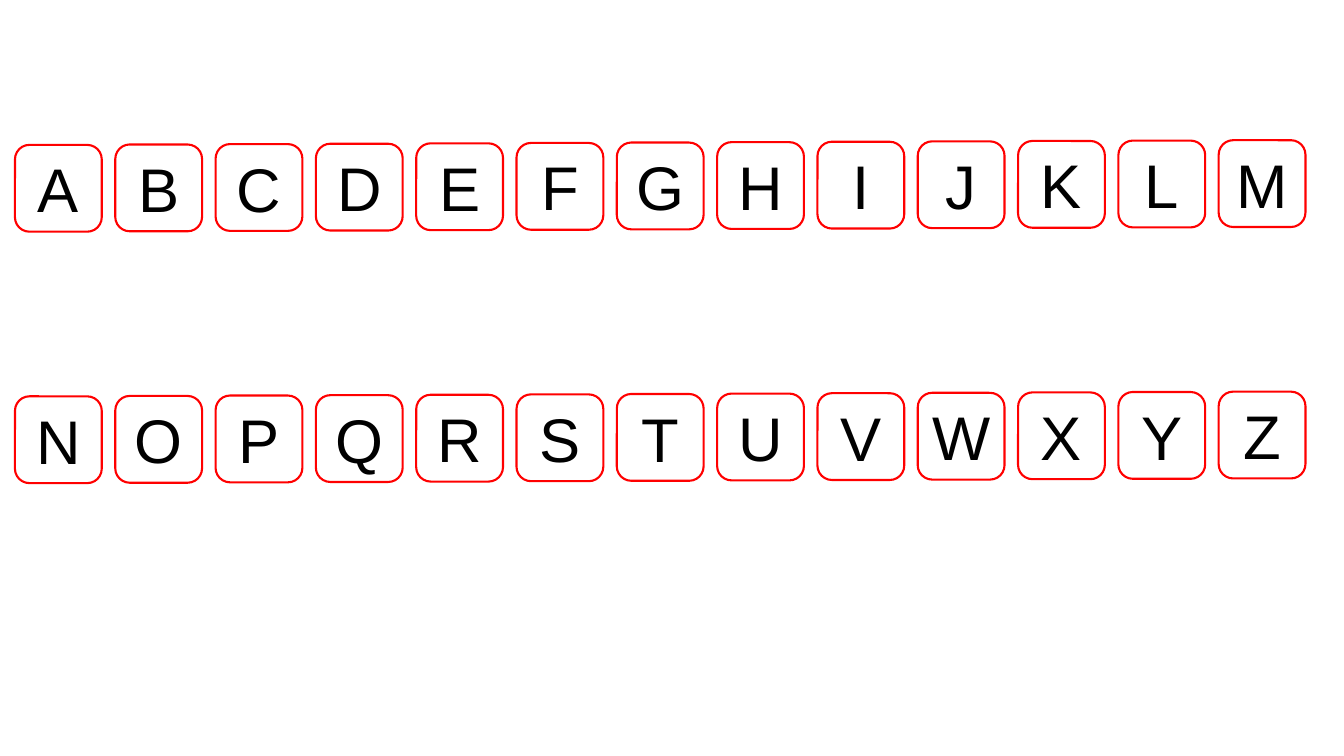
from pptx import Presentation
from pptx.dml.color import RGBColor
from pptx.enum.shapes import MSO_SHAPE
from pptx.enum.text import MSO_ANCHOR, PP_ALIGN
from pptx.util import Pt

WHITE = RGBColor(0xFF, 0xFF, 0xFF)
RED = RGBColor(0xFF, 0x00, 0x00)
BLACK = RGBColor(0x00, 0x00, 0x00)

TILE_SIZE = 62
FIRST_LEFT = 10.7
COLUMN_PITCH = 71.65
COLUMN_RISE = 0.28
LETTER_ROWS = [("ABCDEFGHIJKLM", 103.5), ("NOPQRSTUVWXYZ", 283.1)]

deck = Presentation()
deck.slide_width = Pt(960)
deck.slide_height = Pt(540)
page = deck.slides.add_slide(deck.slide_layouts[6])

for letters, first_top in LETTER_ROWS:
    for column, letter in enumerate(letters):
        left = FIRST_LEFT + column * COLUMN_PITCH
        top = first_top - column * COLUMN_RISE
        tile = page.shapes.add_shape(
            MSO_SHAPE.ROUNDED_RECTANGLE,
            Pt(left), Pt(top), Pt(TILE_SIZE), Pt(TILE_SIZE),
        )
        tile.shadow.inherit = False
        tile.fill.solid()
        tile.fill.fore_color.rgb = WHITE
        tile.line.color.rgb = RED
        tile.line.width = Pt(1.5)
        tile.text_frame.text = letter
        tile.text_frame.vertical_anchor = MSO_ANCHOR.MIDDLE
        para = tile.text_frame.paragraphs[0]
        para.alignment = PP_ALIGN.CENTER
        span = para.runs[0]
        span.font.name = "Arial"
        span.font.size = Pt(44)
        span.font.color.rgb = BLACK

deck.save("out.pptx")
